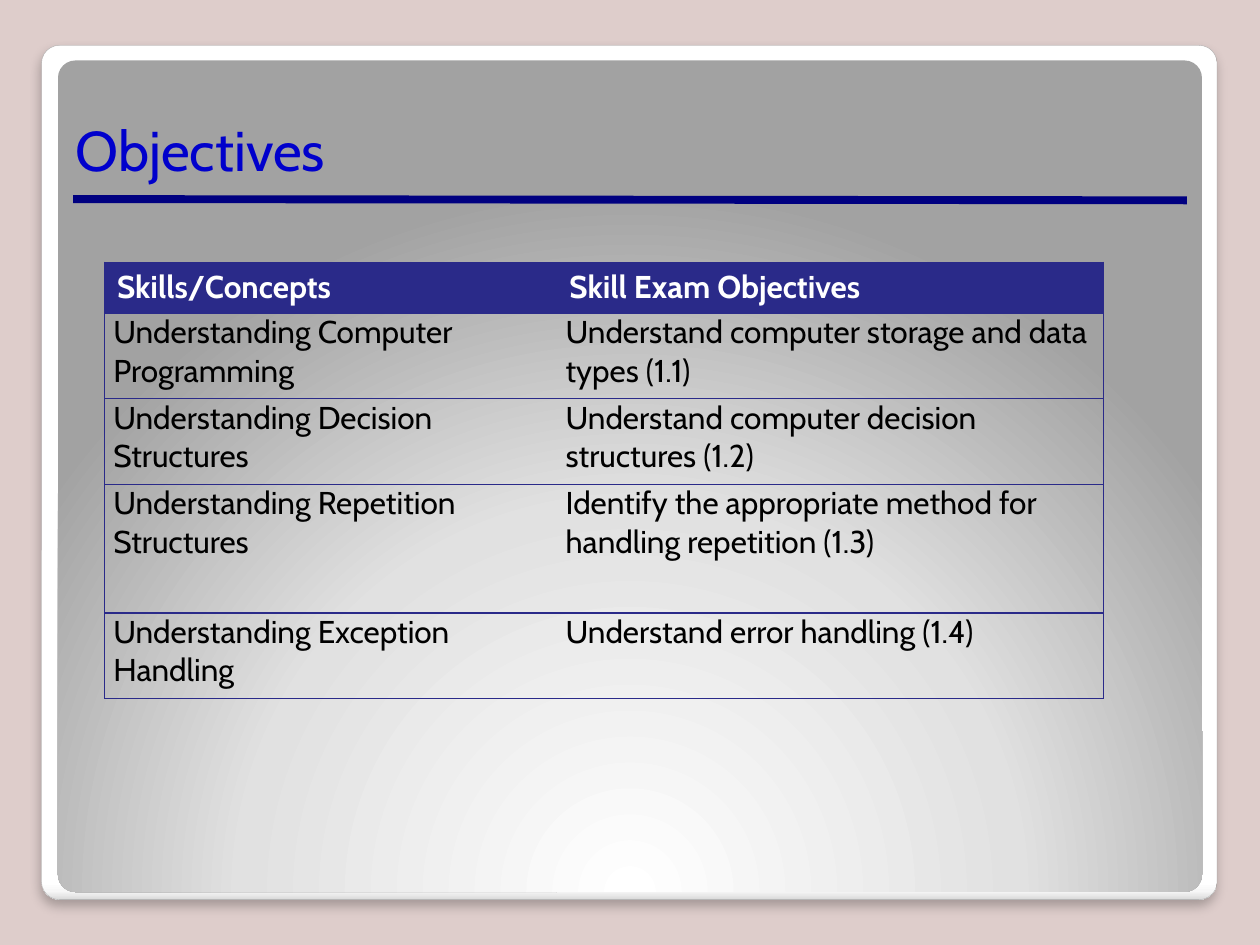
from lxml.etree import SubElement
from pptx import Presentation
from pptx.dml.color import RGBColor
from pptx.enum.shapes import MSO_CONNECTOR, MSO_SHAPE
from pptx.enum.text import MSO_ANCHOR, PP_ALIGN
from pptx.oxml import parse_xml
from pptx.oxml.ns import nsdecls, qn
from pptx.util import Inches, Pt

FONT = "Cabin"
NAVY = "2A2A89"
ROWS = [
    ("Skills/Concepts", "Skill Exam Objectives"),
    ("Understanding Computer Programming",
     "Understand computer storage and data types (1.1)"),
    ("Understanding Decision Structures",
     "Understand computer decision structures (1.2)"),
    ("Understanding Repetition Structures",
     "Identify the appropriate method for handling repetition (1.3)"),
    ("Understanding Exception Handling", "Understand error handling (1.4)"),
]
COL_WIDTHS = [3.59, 4.34]
ROW_HEIGHTS = [0.32, 0.68, 0.68, 1.02, 0.68]


def color(hex_value):
    """Turn a hex string into a colour."""
    return RGBColor.from_string(hex_value)


def add_run(p, text, size, hex_value, bold=False):
    """Add one formatted run to a paragraph."""
    r = p.add_run()
    r.text = text
    r.font.name, r.font.size, r.font.bold = FONT, Pt(size), bold
    r.font.color.rgb = color(hex_value)


def add_panel(s, box, stops, direction):
    """Add a rounded panel with a gradient fill and no outline."""
    sp = s.shapes.add_shape(MSO_SHAPE.ROUNDED_RECTANGLE, *map(Inches, box))
    sp.adjustments[0] = 0.021
    sp.shadow.inherit = False
    sp.line.fill.background()
    gs = "".join(f'<a:gs pos="{pos * 1000}"><a:srgbClr val="{c}"/></a:gs>'
                 for pos, c in stops)
    fill = parse_xml(f'<a:gradFill {nsdecls("a")} rotWithShape="1">'
                     f'<a:gsLst>{gs}</a:gsLst>{direction}</a:gradFill>')
    sp.element.spPr.find(qn("a:prstGeom")).addnext(fill)
    return sp


def add_shadow(sp, blur, distance, opacity):
    """Give a shape a soft shadow that falls downwards."""
    effects = sp.element.spPr.find(qn("a:effectLst"))
    effects.append(parse_xml(
        f'<a:outerShdw {nsdecls("a")} blurRad="{Pt(blur)}" dist="{Pt(distance)}" '
        f'dir="5400000" rotWithShape="0"><a:srgbClr val="000000">'
        f'<a:alpha val="{opacity * 1000}"/></a:srgbClr></a:outerShdw>'))


def add_rule(s, start, end, hex_value, width):
    """Add a straight line without a shadow."""
    line = s.shapes.add_connector(MSO_CONNECTOR.STRAIGHT,
                                  *map(Inches, start + end))
    line.line.color.rgb = color(hex_value)
    line.line.width = Pt(width)
    SubElement(line.element.spPr, qn("a:effectLst"))


def set_borders(cell, sides):
    """Draw the given sides of a cell and clear the others."""
    for i, side in enumerate("LRTB"):
        paint = (f'<a:solidFill><a:srgbClr val="{NAVY}"/></a:solidFill>'
                 if side in sides else "<a:noFill/>")
        cell._tc.get_or_add_tcPr().insert(i, parse_xml(
            f'<a:ln{side} {nsdecls("a")} w="{Pt(0.75)}">{paint}</a:ln{side}>'))


def format_cell(cell, text, header, first_col):
    """Fill one table cell with text, colour, margins and borders."""
    if header:
        cell.fill.solid()
        cell.fill.fore_color.rgb = color(NAVY)
    else:
        cell.fill.background()
        cell.margin_left = cell.margin_right = Inches(0.07)
        cell.margin_top = cell.margin_bottom = 0
    set_borders(cell, "LTB" if first_col else "RTB")
    add_run(cell.text_frame.paragraphs[0], text, 18,
            "FFFFFF" if header else "000000", header)


def add_objectives(s, left, top):
    """Add the table of skills and exam objectives."""
    table = s.shapes.add_table(
        len(ROWS), len(COL_WIDTHS), Inches(left), Inches(top),
        Inches(sum(COL_WIDTHS)), Inches(sum(ROW_HEIGHTS))).table
    table.horz_banding = False
    for col, width in zip(table.columns, COL_WIDTHS):
        col.width = Inches(width)
    for row, height, texts in zip(table.rows, ROW_HEIGHTS, ROWS):
        row.height = Inches(height)
        for j, (cell, text) in enumerate(zip(row.cells, texts)):
            format_cell(cell, text, texts is ROWS[0], j == 0)


def set_title(s, text, box):
    """Place and format the title in front of the panels."""
    title = s.shapes.title
    title.left, title.top, title.width, title.height = map(Inches, box)
    s.shapes.element.append(title.element)
    tf = title.text_frame
    tf.word_wrap = True
    tf.vertical_anchor = MSO_ANCHOR.BOTTOM
    p = tf.paragraphs[0]
    p.alignment = PP_ALIGN.LEFT
    add_run(p, text, 32, "0000CC")


def main():
    """Build the slide and save it."""
    prs = Presentation()
    prs.slide_width, prs.slide_height = Inches(10), Inches(7.5)
    s = prs.slides.add_slide(prs.slide_layouts[5])
    s.background.fill.solid()
    s.background.fill.fore_color.rgb = color("DECDCB")

    frame = add_panel(
        s, (0.33, 0.36, 9.33, 6.78),
        [(0, "FFFFFF"), (98, "FFFFFF"), (99, "F7F7F7"), (100, "DADADA")],
        '<a:lin ang="5400000" scaled="0"/>')
    frame.line.color.rgb = color("A4A4A4")
    frame.line.width = Pt(0.16)
    add_shadow(frame, 6, 4, 25)
    add_panel(
        s, (0.46, 0.48, 9.08, 6.6),
        [(0, "FFFFFF"), (55, "E1E1E1"), (100, "A2A2A2")],
        '<a:path path="circle"><a:fillToRect l="50000" t="175000" '
        'r="50000" b="-75000"/></a:path>')
    add_rule(s, (0.58, 1.58), (9.42, 1.59), "000080", 4.5)
    set_title(s, "Objectives", (0.5, 0.5, 9, 1))
    add_objectives(s, 0.83, 2.08)
    prs.save("out.pptx")


main()
